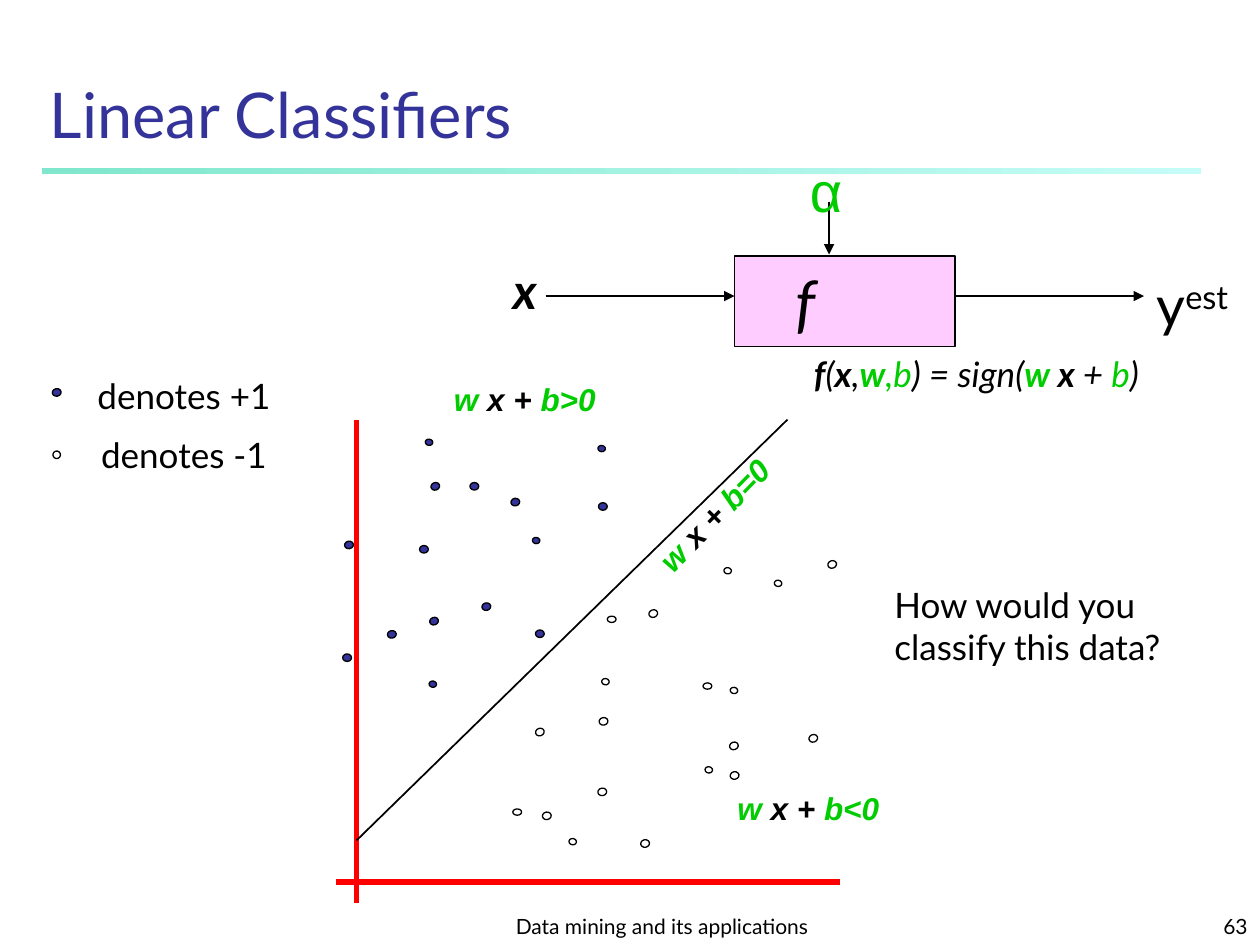
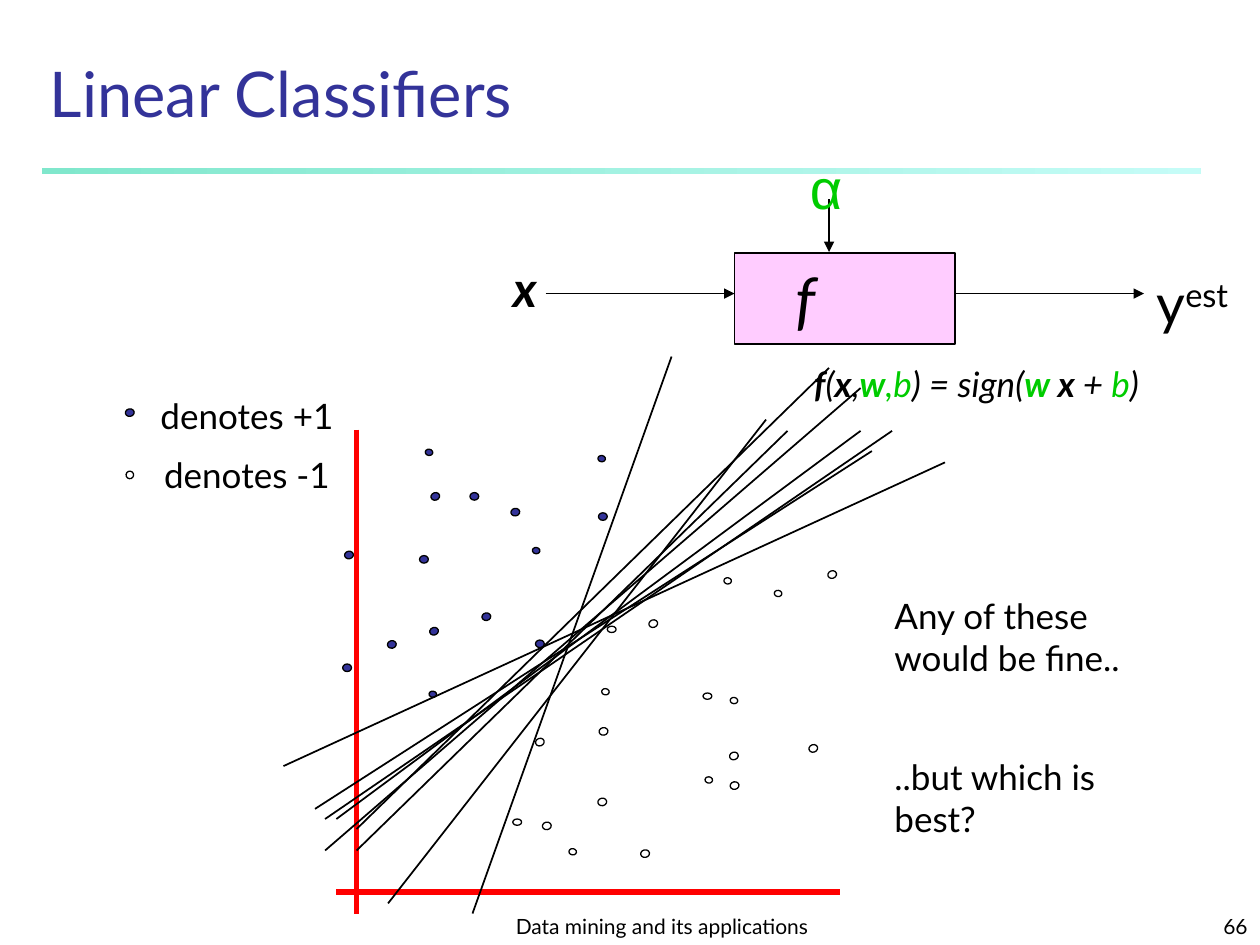
from lxml import etree
from pptx import Presentation
from pptx import util as u
from pptx.dml.color import RGBColor
from pptx.enum import shapes, text
from pptx.oxml.ns import qn

BLACK, WHITE, RED = "000000", "FFFFFF", "FF0000"
NAVY, GREEN, PINK = "333399", "00CC00", "FFCCFF"
BAND_START, BAND_END = "80E7CC", "C5FCF7"
LEFT, CENTER, RIGHT = text.PP_ALIGN.LEFT, text.PP_ALIGN.CENTER, text.PP_ALIGN.RIGHT
TOP, MIDDLE, BOTTOM = text.MSO_ANCHOR.TOP, text.MSO_ANCHOR.MIDDLE, text.MSO_ANCHOR.BOTTOM

# Data points: (colour, rotation, width, height, [(left, top), ...])
POINT_GROUPS = [
    (NAVY, 0, 0.07, 0.06, [(2.72, 5.19), (4.75, 3.99), (3.73, 3.83), (4.25, 5), (3.33, 4.33)]),
    (WHITE, 0, 0.07, 0.05, [(4.07, 6.42), (4.82, 4.89), (5.58, 5.42)]),
    (NAVY, 341.4, 0.07, 0.06, [(3.42, 3.83), (3.41, 4.9)]),
    (WHITE, 341.4, 0.07, 0.06, [(4.25, 5.78), (6.57, 4.45), (5.79, 5.89), (5.15, 4.84),
                                (6.42, 5.83)]),
    (NAVY, 98.3, 0.05, 0.06, [(4.23, 4.26), (3.41, 5.4), (4.75, 3.53), (3.38, 3.48)]),
    (WHITE, 98.3, 0.05, 0.06, [(4.52, 6.65), (5.8, 5.45), (4.78, 5.38), (6.15, 4.6),
                               (5.75, 4.5), (5.6, 6.08)]),
    (NAVY, 79.6, 0.06, 0.07, [(3.83, 4.78), (3.08, 5), (4.06, 3.95), (2.74, 4.29)]),
    (WHITE, 79.6, 0.06, 0.07, [(5.09, 6.66), (4.75, 6.25), (4.76, 5.69), (4.31, 6.44),
                               (5.8, 6.12)]),
]

# Separating lines: (x1, y1, x2, y2)
CANDIDATE_LINES = [
    (3.75, 7.25, 5.33, 2.83), (2.5, 6.42, 6.92, 3.58), (2.83, 6.75, 6.25, 3.42),
    (2.25, 6.08, 7.5, 3.67), (2.67, 6.5, 6.83, 3.42), (2.58, 6.75, 6.83, 3.08),
    (2.83, 6.58, 6.58, 2.92), (3.08, 7.17, 6.08, 3.33), (2.58, 6.5, 7.08, 3.42),
]

# Formula spans: (words, colour, bold)
FORMULA = [
    ("f", BLACK, True), ("(", BLACK, False), ("x", BLACK, True), (",", BLACK, False),
    ("w", GREEN, True), (",b", GREEN, False), (") = sign(", BLACK, False),
    ("w", GREEN, True), (" x ", BLACK, True), ("+ ", BLACK, False),
    ("b", GREEN, False), (")", BLACK, False),
]


def rgb(value):
    return RGBColor.from_string(value)


def inches(*lengths):
    return [u.Inches(length) for length in lengths]


class Lecture:
    """The deck, its style and the slide being drawn."""

    def __init__(self):
        self.deck = Presentation()
        self.deck.slide_width, self.deck.slide_height = inches(10, 7.5)
        self.page = None

    # Basic elements
    def fill_text(self, frame, paragraphs, size, colour=BLACK, font="Lato", align=LEFT,
                  gap=10, bold=False, italic=False):
        """Each paragraph is a string or a list of (words, colour, bold) spans."""
        for index, content in enumerate(paragraphs):
            para = frame.add_paragraph() if index else frame.paragraphs[0]
            para.alignment = align
            if index:
                para.space_before = u.Pt(gap)
            para.font.name, para.font.size = font, u.Pt(size)
            para.font.italic = italic
            if isinstance(content, str):
                content = [(content, colour, bold)]
            for words, span_colour, span_bold in content:
                span = para.add_run()
                span.text = words
                span.font.color.rgb = rgb(span_colour)
                span.font.bold = span_bold

    def label(self, place, paragraphs, size, anchor=TOP, wrap=True, rotation=0, **style):
        box = self.page.shapes.add_textbox(*inches(*place))
        box.rotation = rotation
        box.text_frame.word_wrap = wrap
        box.text_frame.vertical_anchor = anchor
        self.fill_text(box.text_frame, paragraphs, size, **style)
        return box

    def shape(self, kind, place, fill, line_width=1.0, rotation=0):
        item = self.page.shapes.add_shape(kind, *inches(*place))
        item.shadow.inherit = False
        item.rotation = rotation
        item.fill.solid()
        item.fill.fore_color.rgb = rgb(fill)
        item.line.color.rgb = rgb(BLACK)
        item.line.width = u.Pt(line_width)
        return item

    def dot(self, place, fill, rotation):
        self.shape(shapes.MSO_SHAPE.OVAL, place, fill, 0.75, rotation)

    def line(self, ends, colour=BLACK, width=1, arrow=False):
        item = self.page.shapes.add_connector(shapes.MSO_CONNECTOR.STRAIGHT, *inches(*ends))
        item.line.color.rgb = rgb(colour)
        item.line.width = u.Pt(width)
        properties = item._element.spPr
        if arrow:
            etree.SubElement(properties.find(qn("a:ln")), qn("a:tailEnd"), type="triangle")
        etree.SubElement(properties, qn("a:effectLst"))

    # Parts that the slides share
    def new_page(self, number, title_top):
        self.page = self.deck.slides.add_slide(self.deck.slide_layouts[6])
        band = self.shape(shapes.MSO_SHAPE.RECTANGLE, (0.33, 1.33, 9.2, 0.05), BAND_START)
        band.line.fill.background()
        band.fill.gradient()
        band.fill.gradient_angle = 0
        for stop, colour in zip(band.fill.gradient_stops, (BAND_START, BAND_END)):
            stop.color.rgb = rgb(colour)
        self.label((3.67, 7.08, 3.17, 0.42), ["Data mining and its applications"], 12, BOTTOM,
                   align=CENTER)
        self.label((7.92, 7.08, 2.08, 0.42), [str(number)], 12, BOTTOM, align=RIGHT)
        self.label((0.17, title_top, 5.08, 0.75), [" Linear Classifiers"], 36, BOTTOM,
                   colour=NAVY)

    def machine(self, top):
        """The box f with its inputs x and α and its output y."""
        box = self.shape(shapes.MSO_SHAPE.RECTANGLE, (5.83, top, 1.75, 0.72), PINK)
        box.text_frame.margin_left = u.Inches(0.48)
        box.text_frame.vertical_anchor = MIDDLE
        self.fill_text(box.text_frame, ["f"], 36, italic=True)
        wire = top + 0.32
        self.line((4.33, wire, 5.83, wire), arrow=True)
        self.line((7.58, wire, 9.08, wire), arrow=True)
        self.line((6.58, top - 0.43, 6.58, top - 0.01), arrow=True)
        self.label((3.83, top - 0.01, 0.67, 0.57), ["x"], 28, align=CENTER, bold=True,
                   italic=True)
        self.label((6.33, top - 0.84, 0.42, 0.63), ["α"], 32, align=CENTER, colour=GREEN,
                   font="Arial")
        output = self.label((9.08, top + 0.07, 0.92, 0.63),
                            [[("y", BLACK, False), ("est", BLACK, False)]], 32)
        exponent = output.text_frame.paragraphs[0].runs[1]
        exponent._r.get_or_add_rPr().set("baseline", "30000")

    def formula(self, top):
        self.label((6, top, 3.5, 0.43), [FORMULA], 20, align=CENTER, italic=True)

    def legend(self, left, top, dot_left):
        self.label((left, top, 2.08, 0.93), ["denotes +1", "denotes -1"], 20, align=CENTER)
        self.dot((dot_left, top + 0.16, 0.06, 0.07), NAVY, 79.6)
        self.dot((dot_left, top + 0.66, 0.06, 0.06), WHITE, 98.3)

    def scatter(self, drop=0.0):
        self.line((2.83, 3.33 + drop, 2.83, 7.17 + drop), RED, 3)
        self.line((2.67, 7 + drop, 6.67, 7 + drop), RED, 3)
        for colour, rotation, width, height, points in POINT_GROUPS:
            for left, top in points:
                self.dot((left, top + drop, width, height), colour, rotation)

    def region(self, left, top, relation, rotation=0):
        spans = [("w", GREEN, True), (" x + ", BLACK, True), (relation, GREEN, True)]
        self.label((left, top, 2.67, 0.33), [spans], 18, MIDDLE, wrap=False,
                   rotation=rotation, font="Arial", align=CENTER, italic=True)


def main():
    lecture = Lecture()

    # One separating line
    lecture.new_page(63, title_top=0.5)
    lecture.machine(2.03)
    lecture.legend(0.42, 2.92, dot_left=0.42)
    lecture.scatter()
    lecture.formula(2.75)
    lecture.line((2.83, 6.67, 6.25, 3.33))
    lecture.label((7, 4.58, 2.42, 0.77), ["How would you classify this data?"], 20)
    lecture.region(4.33, 3.92, "b=0", rotation=314.4)
    lecture.region(5.08, 6.25, "b<0")
    lecture.region(2.83, 3, "b>0")

    # Many separating lines
    lecture.new_page(66, title_top=0.33)
    lecture.machine(2.01)
    lecture.legend(0.92, 3.08, dot_left=1)
    lecture.scatter(drop=0.08)
    lecture.formula(2.83)
    lecture.label((7, 4.67, 2.42, 2.1), ["Any of these would be fine..", "..but which is best?"],
                  20, gap=44)
    for ends in CANDIDATE_LINES:
        lecture.line(ends)

    lecture.deck.save("out.pptx")


if __name__ == "__main__":
    main()
